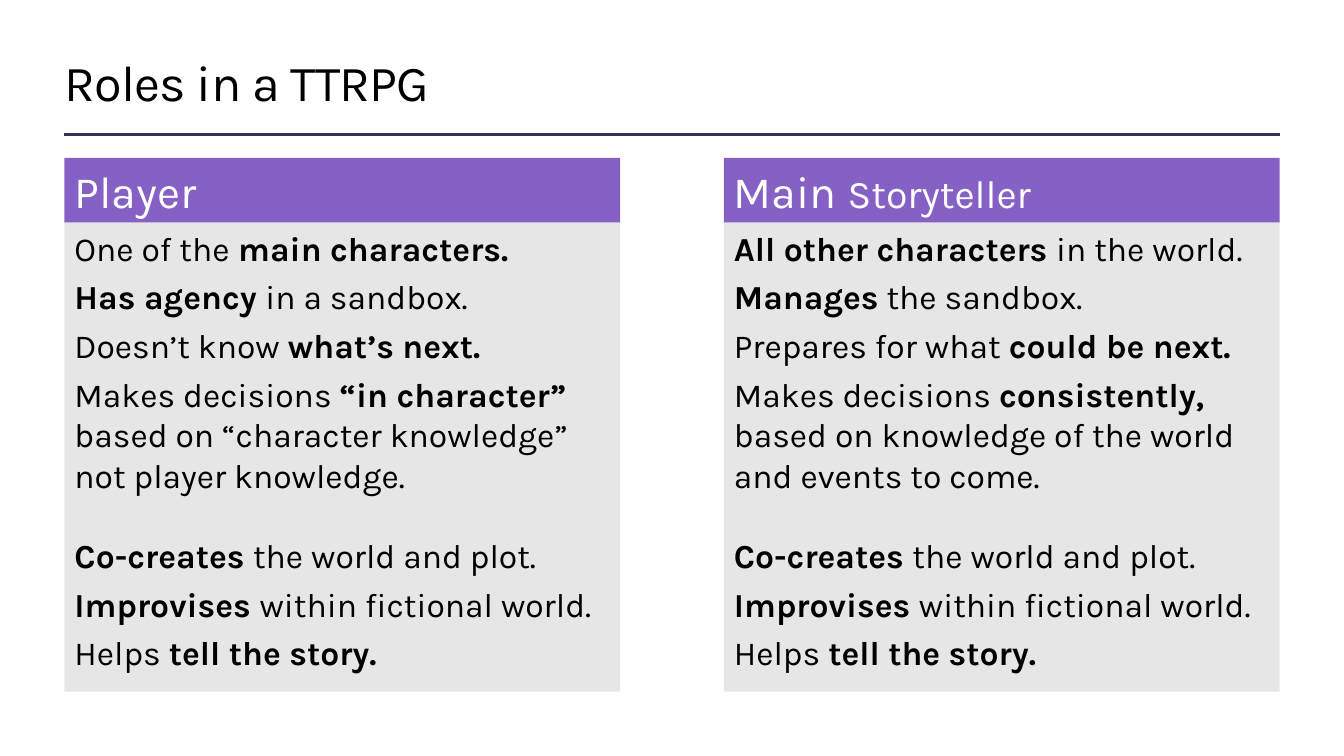
from lxml import etree
from pptx import Presentation
from pptx.dml.color import RGBColor
from pptx.enum.shapes import MSO_CONNECTOR
from pptx.enum.text import MSO_ANCHOR, MSO_AUTO_SIZE, PP_ALIGN
from pptx.oxml.ns import qn
from pptx.util import Pt

STRAIGHT = MSO_CONNECTOR.STRAIGHT
TOP, MIDDLE, BOTTOM = MSO_ANCHOR.TOP, MSO_ANCHOR.MIDDLE, MSO_ANCHOR.BOTTOM
NO_FIT = MSO_AUTO_SIZE.NONE
LEFT = PP_ALIGN.LEFT

FONT = "Karla"
COLORS = {
    "text": "000000",
    "white": "FFFFFF",
    "rule": "3B2E58",
    "header": "8661C5",
    "panel": "E6E6E6",
}
MARGIN, RIGHT, COL_W = 46, 914, 397
HEAD_Y, HEAD_H, BODY_H = 112.75, 46.25, 335

SHARED = [
    [("Co-creates ", True), ("the world and plot.", False)],
    [("Improvises ", True), ("within fictional world.", False)],
    [("Helps ", False), ("tell the story.", True)],
]
ROLES = [
    ([("Player", 32)], [
        [("One of the", False), (" main characters.", True)],
        [("Has agency ", True), ("in a sandbox.", False)],
        [("Doesn’t know ", False), ("what’s next.", True)],
        [("Makes decisions ", False), ("“in character” ", True),
         ("based on “character knowledge” not player knowledge.", False)],
    ]),
    ([("Main ", 32), ("Storyteller", 28)], [
        [("All other characters ", True), ("in the world.", False)],
        [("Manages", True), (" the sandbox.", False)],
        [("Prepares for what ", False), ("could be next.", True)],
        [("Makes decisions ", False), ("consistently, ", True),
         ("based on knowledge of the world and events to come.", False)],
    ]),
]


def set_box(sp, x, y, w, h, anchor, fill=None):
    sp.left, sp.top, sp.width, sp.height = Pt(x), Pt(y), Pt(w), Pt(h)
    tf = sp.text_frame
    tf.word_wrap = True
    tf.auto_size = NO_FIT
    tf.vertical_anchor = anchor
    if fill:
        sp.fill.solid()
        sp.fill.fore_color.rgb = RGBColor.from_string(COLORS[fill])
    return tf


def add_runs(p, runs, color):
    pPr = p._p.get_or_add_pPr()
    pPr.set("marL", "0")
    pPr.set("indent", "0")
    etree.SubElement(pPr, qn("a:buNone"))
    p.alignment = LEFT
    p.space_before = Pt(0)
    for text, size, bold in runs:
        r = p.add_run()
        r.text = text
        r.font.name = FONT
        r.font.size = Pt(size)
        r.font.bold = bold
        r.font.color.rgb = RGBColor.from_string(COLORS[color])


prs = Presentation()
prs.slide_width, prs.slide_height = Pt(960), Pt(540)
s = prs.slides.add_slide(prs.slide_layouts[4])

rule = s.shapes.add_connector(STRAIGHT, Pt(MARGIN), Pt(96), Pt(RIGHT), Pt(96))
rule.line.color.rgb = RGBColor.from_string(COLORS["rule"])
rule.line.width = Pt(2)
etree.SubElement(rule._element.spPr, qn("a:effectLst"))

tf = set_box(s.shapes.title, MARGIN, 36, RIGHT - MARGIN, 44, MIDDLE)
tf.margin_left = tf.margin_top = tf.margin_right = tf.margin_bottom = 0
add_runs(tf.paragraphs[0], [("Roles in a TTRPG", 36, False)], "text")
tf.paragraphs[0].runs[0].font._element.set("spc", "-50")

boxes = {ph.placeholder_format.idx: ph for ph in s.placeholders}
for i, (heading, duties) in enumerate(ROLES):
    x = MARGIN + i * (RIGHT - MARGIN - COL_W)
    tf = set_box(boxes[1 + 2 * i], x, HEAD_Y, COL_W, HEAD_H, BOTTOM, "header")
    add_runs(tf.paragraphs[0], [(t, size, False) for t, size in heading], "white")

    tf = set_box(boxes[2 + 2 * i], x, HEAD_Y + HEAD_H, COL_W, BODY_H, TOP, "panel")
    for j, runs in enumerate(duties + SHARED):
        p = tf.add_paragraph() if j else tf.paragraphs[0]
        add_runs(p, [(t, 24, bold) for t, bold in runs], "text")
        p.space_after = Pt(0 if runs in (duties[-1], SHARED[-1]) else 6)
        if j == len(duties):
            p.space_before = Pt(28.5)

prs.save("out.pptx")
